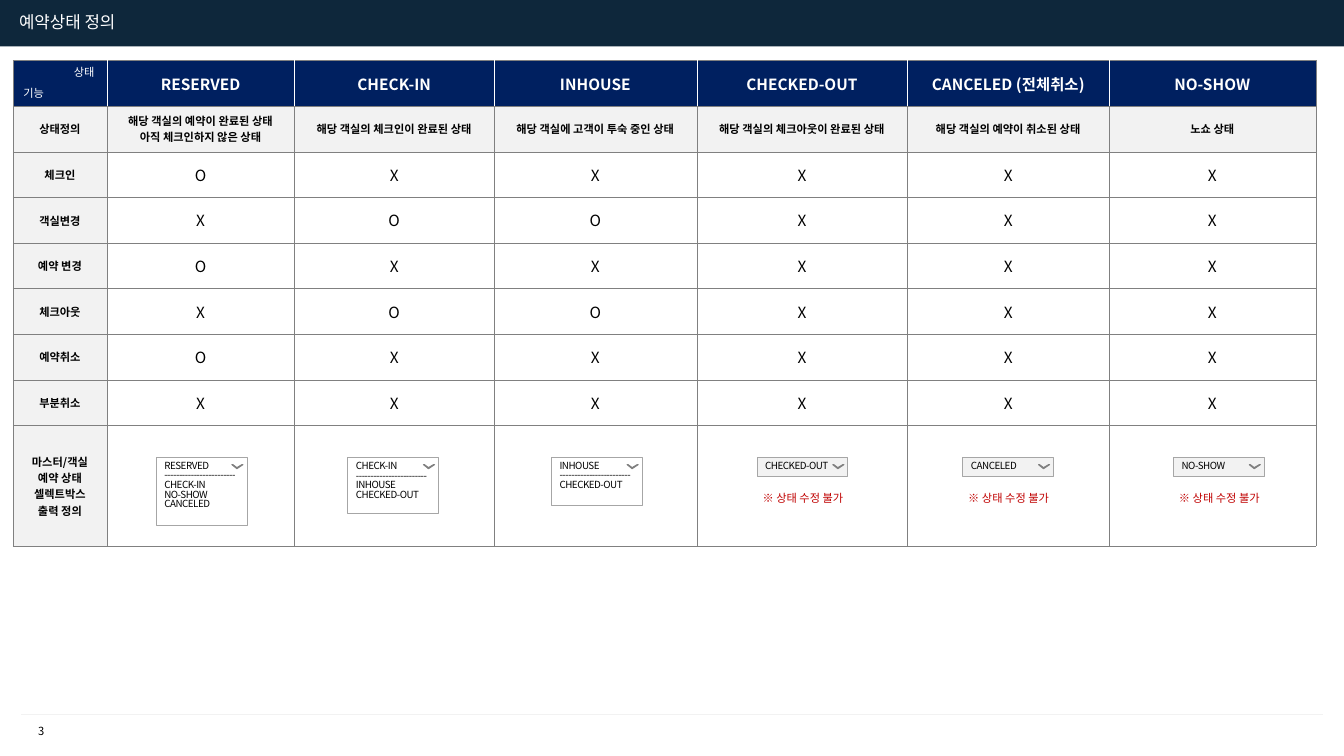
import pptx
import pptx.dml.color
import pptx.enum.shapes
import pptx.enum.text
import pptx.oxml.ns
import pptx.util
from lxml import etree
from pptx.util import Inches

FONT = "Noto Sans CJK KR"
CENTER = pptx.enum.text.PP_ALIGN.CENTER
LEFT = pptx.enum.text.PP_ALIGN.LEFT
RECTANGLE = pptx.enum.shapes.MSO_SHAPE.RECTANGLE
NAVY, GRAY, PALE, WHITE, BLACK, RED = "002060", "808080", "F2F2F2", "FFFFFF", "000000", "C00000"

STATES = ["RESERVED", "CHECK-IN", "INHOUSE", "CHECKED-OUT", "CANCELED (전체취소)", "NO-SHOW"]
DEFINITIONS = [
    "해당 객실의 예약이 완료된 상태\n아직 체크인하지 않은 상태",
    "해당 객실의 체크인이 완료된 상태",
    "해당 객실에 고객이 투숙 중인 상태",
    "해당 객실의 체크아웃이 완료된 상태",
    "해당 객실의 예약이 취소된 상태",
    "노쇼 상태",
]
PERMISSIONS = {
    "체크인": "OXXXXX",
    "객실변경": "XOOXXX",
    "예약 변경": "OXXXXX",
    "체크아웃": "XOOXXX",
    "예약취소": "OXXXXX",
    "부분취소": "XXXXXX",
}
STATUS_ROWS = [
    ["", *STATES],
    ["상태정의", *DEFINITIONS],
    *[[action, *marks] for action, marks in PERMISSIONS.items()],
    ["마스터/객실\n예약 상태\n셀렉트박스\n출력 정의", *[""] * 6],
]
COLUMN_WIDTHS = [0.93, 1.86, 1.98, 2.01, 2.09, 2, 2.05]
ROW_HEIGHTS = [3.62 / 8] * 8 + [1.2]
SELECT_BOXES = [
    (1.55, 0.67, "RESERVED", ["CHECK-IN", "NO-SHOW", "CANCELED"]),
    (3.45, 0.55, "CHECK-IN", ["INHOUSE", "CHECKED-OUT"]),
    (5.47, 0.47, "INHOUSE", ["CHECKED-OUT"]),
    (7.51, 0.19, "CHECKED-OUT", []),
    (9.55, 0.19, "CANCELED", []),
    (11.64, 0.19, "NO-SHOW", []),
]
SELECT_TOP = 4.54


def color(hex_value):
    """Return the colour for a hex string."""
    return pptx.dml.color.RGBColor.from_string(hex_value)


def paint(shape, fill, line=None, width=0.5):
    """Set the fill and outline of a shape and drop its shadow."""
    shape.shadow.inherit = False
    shape.fill.solid()
    shape.fill.fore_color.rgb = color(fill)
    if line:
        shape.line.color.rgb = color(line)
        shape.line.width = pptx.util.Pt(width)
    else:
        shape.line.fill.background()


def write(frame, text, size, hex_value, align=CENTER, bold=False, spacing=None, leading=None):
    """Write each line of text as a paragraph with one run."""
    for index, line in enumerate(text.split("\n")):
        paragraph = frame.add_paragraph() if index else frame.paragraphs[0]
        paragraph.alignment = align
        if leading:
            paragraph.line_spacing = leading
        run = paragraph.add_run()
        run.text = line
        run.font.size = pptx.util.Pt(size)
        run.font.name = FONT
        run.font.bold = bold
        run.font.color.rgb = color(hex_value)
        properties = run.font._element
        etree.SubElement(properties, pptx.oxml.ns.qn("a:ea"), typeface=FONT)
        if spacing:
            properties.set("spc", str(round(spacing * 100)))


def add_label(slide, left, top, width, height, text, size, hex_value, align=CENTER, wrap=False):
    """Add a text box that grows with its text."""
    frame = slide.shapes.add_textbox(Inches(left), Inches(top), Inches(width), Inches(height)).text_frame
    frame.word_wrap = wrap
    frame.auto_size = pptx.enum.text.MSO_AUTO_SIZE.SHAPE_TO_FIT_TEXT
    write(frame, text, size, hex_value, align)


def add_frame(slide):
    """Add the title bar, footer rule, page number and title."""
    bar = slide.shapes.add_shape(RECTANGLE, 0, 0, Inches(13.33), Inches(0.46))
    paint(bar, "0E273B")
    rule = slide.shapes.add_connector(
        pptx.enum.shapes.MSO_CONNECTOR.STRAIGHT, Inches(0.21), Inches(7.09), Inches(13.12), Inches(7.09))
    rule.line.color.rgb = color(PALE)
    rule.line.width = pptx.util.Pt(0.75)
    etree.SubElement(rule._element.spPr, pptx.oxml.ns.qn("a:effectLst"))
    add_label(slide, 0.17, 7.14, 0.48, 0.24, "3", 8, BLACK)
    add_label(slide, 0.09, 0.07, 2.41, 0.3, "예약상태 정의", 12, WHITE, LEFT, True)


def set_borders(cell, left, right):
    """Draw thin cell borders, with the given side colours."""
    properties = cell._tc.get_or_add_tcPr()
    for side, hex_value in (("L", left), ("R", right), ("T", GRAY), ("B", GRAY)):
        border = etree.SubElement(properties, pptx.oxml.ns.qn(f"a:ln{side}"), w=str(pptx.util.Pt(0.25)))
        fill = etree.SubElement(border, pptx.oxml.ns.qn("a:solidFill"))
        etree.SubElement(fill, pptx.oxml.ns.qn("a:srgbClr"), val=hex_value)


def add_status_table(slide):
    """Add the table of actions allowed in each reservation state."""
    table = slide.shapes.add_table(
        len(ROW_HEIGHTS), len(COLUMN_WIDTHS), Inches(0.13), Inches(0.6),
        Inches(sum(COLUMN_WIDTHS)), Inches(sum(ROW_HEIGHTS))).table
    table.first_row = table.horz_banding = False
    for column, width in zip(table.columns, COLUMN_WIDTHS):
        column.width = Inches(width)
    for row, height in zip(table.rows, ROW_HEIGHTS):
        row.height = Inches(height)
    last = len(COLUMN_WIDTHS) - 1
    for r, texts in enumerate(STATUS_ROWS):
        for c, text in enumerate(texts):
            cell = table.cell(r, c)
            header, label = r == 0, r == 1 or c == 0
            set_borders(cell, WHITE if header and c > 0 else GRAY, WHITE if header and c < last else GRAY)
            cell.fill.solid()
            cell.fill.fore_color.rgb = color(NAVY if header else PALE if label else WHITE)
            cell.vertical_anchor = pptx.enum.text.MSO_ANCHOR.MIDDLE
            if text:
                write(cell.text_frame, text, 8 if label else 11, WHITE if header else BLACK, bold=header or label)


def add_select_box(slide, left, height, current, options):
    """Add a select box with its chevron, and a note when it is locked."""
    group = slide.shapes.add_group_shape()
    box = group.shapes.add_shape(RECTANGLE, Inches(left), Inches(SELECT_TOP), Inches(0.9), Inches(height))
    paint(box, WHITE if options else PALE, "A6A6A6")
    frame = box.text_frame
    frame.word_wrap = True
    frame.vertical_anchor = pptx.enum.text.MSO_ANCHOR.TOP
    frame.margin_left = frame.margin_right = Inches(0.08)
    frame.margin_top = frame.margin_bottom = Inches(0.04)
    lines = [current, "-" * 24, *options] if options else [current]
    write(frame, "\n".join(lines), 7, BLACK, LEFT, spacing=-0.3, leading=0.82)

    start, top = left + 0.75, SELECT_TOP + 0.07
    outline = group.shapes.build_freeform(Inches(start), Inches(top))
    corners = [(0.01, 0), (0.05, 0.03), (0.1, 0), (0.11, 0), (0.05, 0.04)]
    outline.add_line_segments([(Inches(start + x), Inches(top + y)) for x, y in corners], close=True)
    paint(outline.convert_to_shape(), "5F5F5F", GRAY, 0.75)
    if not options:
        add_label(slide, left - 0.06, 4.83, 1.03, 0.24, "※ 상태 수정 불가", 8, RED)


def main():
    """Build the reservation state slide."""
    deck = pptx.Presentation()
    deck.slide_width, deck.slide_height = Inches(13.33), Inches(7.5)
    slide = deck.slides.add_slide(deck.slide_layouts[6])
    add_frame(slide)
    add_status_table(slide)
    add_label(slide, 0.63, 0.6, 0.41, 0.24, "상태", 8, WHITE)
    add_label(slide, 0.13, 0.81, 0.41, 0.24, "기능", 8, WHITE)
    for select_box in SELECT_BOXES:
        add_select_box(slide, *select_box)
    deck.save("out.pptx")


if __name__ == "__main__":
    main()
